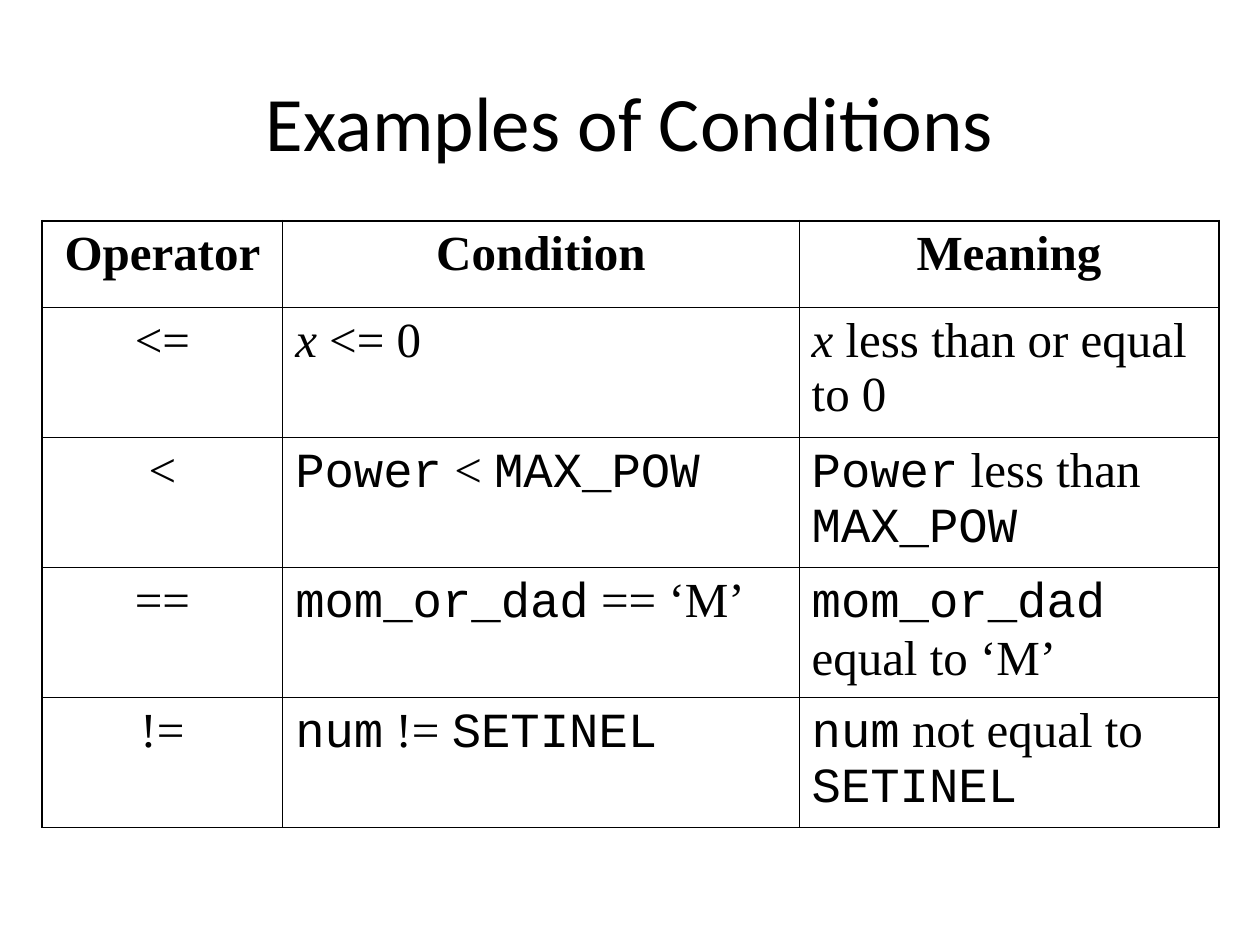
from lxml import etree
from pptx import Presentation
from pptx.dml.color import RGBColor
from pptx.enum.text import MSO_ANCHOR, PP_ALIGN
from pptx.oxml.ns import qn
from pptx.util import Cm, Pt

BLACK = RGBColor(0, 0, 0)
LEFT, CENTER = PP_ALIGN.LEFT, PP_ALIGN.CENTER
MIDDLE = MSO_ANCHOR.MIDDLE
SERIF, MONO, SANS = "Times New Roman", "Courier New", "Calibri"
PLAIN, BOLD, ITALIC, CODE = "plain", "bold", "italic", "code"
THIN, THICK = Pt(0.45), Pt(1.08)

COLUMN_WIDTHS = [4.85, 10.41, 8.46]
ROW_HEIGHTS = [1.75] + [2.62] * 4
HEADINGS = ["Operator", "Condition", "Meaning"]
EXAMPLES = [
    ("<=", [("x", ITALIC), (" <= 0", PLAIN)],
     [("x", ITALIC), (" less than or equal to 0", PLAIN)]),
    ("<", [("Power", CODE), (" < ", PLAIN), ("MAX_POW", CODE)],
     [("Power", CODE), (" less than ", PLAIN), ("MAX_POW", CODE)]),
    ("==", [("mom_or_dad", CODE), (" == ‘M’", PLAIN)],
     [("mom_or_dad", CODE), (" equal to ‘M’", PLAIN)]),
    ("!=", [("num", CODE), (" != ", PLAIN), ("SETINEL", CODE)],
     [("num", CODE), (" not equal to ", PLAIN), ("SETINEL", CODE)]),
]


class SlideBuilder:
    """Holds the text style and the current slide."""

    def __init__(self, page, color=BLACK, size=28):
        self.page = page
        self.color = color
        self.size = size

    def format_span(self, span, name, size, bold=False, italic=False):
        font = span.font
        font.name, font.size = name, Pt(size)
        font.bold, font.italic = bold, italic
        font.color.rgb = self.color

    def title(self, text, left, top, width, height):
        box = self.page.shapes.title
        box.left, box.top = Cm(left), Cm(top)
        box.width, box.height = Cm(width), Cm(height)
        box.text_frame.text = text
        box.text_frame.vertical_anchor = MIDDLE
        para = box.text_frame.paragraphs[0]
        para.alignment = CENTER
        self.format_span(para.runs[0], SANS, 44)

    def borders(self, cell, widths):
        properties = cell._tc.get_or_add_tcPr()
        for index, (side, width) in enumerate(widths.items()):
            line = etree.Element(qn(f"a:ln{side}"), w=str(width))
            fill = etree.SubElement(line, qn("a:solidFill"))
            etree.SubElement(fill, qn("a:srgbClr"), val=str(self.color))
            properties.insert(index, line)

    def cell(self, cell, pieces, alignment):
        cell.fill.background()
        para = cell.text_frame.paragraphs[0]
        para.alignment = alignment
        para.space_before = Pt(7)
        for text, style in pieces:
            span = para.add_run()
            span.text = text
            name = MONO if style == CODE else SERIF
            self.format_span(span, name, self.size, style == BOLD, style == ITALIC)

    def table(self, rows, left, top):
        last_row, last_column = len(ROW_HEIGHTS) - 1, len(COLUMN_WIDTHS) - 1
        table = self.page.shapes.add_table(
            len(ROW_HEIGHTS), len(COLUMN_WIDTHS), Cm(left), Cm(top),
            Cm(sum(COLUMN_WIDTHS)), Cm(sum(ROW_HEIGHTS))).table
        table.first_row = table.horz_banding = False
        for column, width in zip(table.columns, COLUMN_WIDTHS):
            column.width = Cm(width)
        for r, (row, height) in enumerate(zip(rows, ROW_HEIGHTS)):
            table.rows[r].height = Cm(height)
            for c, pieces in enumerate(row):
                cell = table.cell(r, c)
                self.cell(cell, pieces, CENTER if r == 0 or c == 0 else LEFT)
                self.borders(cell, {
                    "L": THICK if c == 0 else THIN,
                    "R": THICK if c == last_column else THIN,
                    "T": THICK if r == 0 else THIN,
                    "B": THICK if r == last_row else THIN,
                })


def main():
    deck = Presentation()
    deck.slide_width, deck.slide_height = Cm(25.4), Cm(19.05)
    builder = SlideBuilder(deck.slides.add_slide(deck.slide_layouts[5]))
    builder.title("Examples of Conditions", 0.85, 0.85, 23.7, 3.18)
    rows = [[[(heading, BOLD)] for heading in HEADINGS]]
    rows += [[[(operator, PLAIN)], condition, meaning]
             for operator, condition, meaning in EXAMPLES]
    builder.table(rows, 0.85, 4.45)
    deck.save("out.pptx")


if __name__ == "__main__":
    main()
